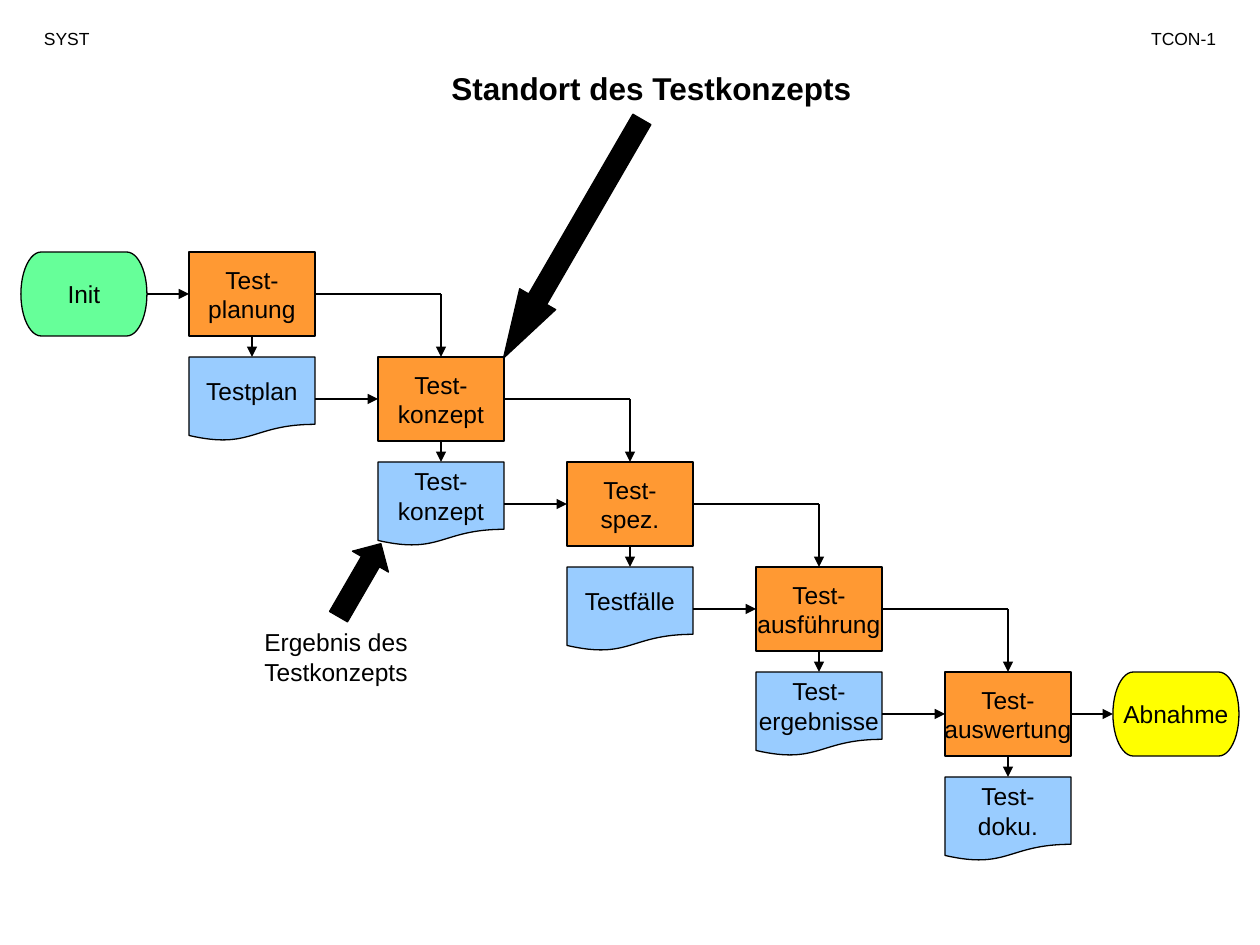
from lxml import etree
from pptx import Presentation
from pptx import util as u
from pptx.dml.color import RGBColor
from pptx.enum import shapes, text
from pptx.oxml import ns

BLACK = RGBColor(0x00, 0x00, 0x00)
ORANGE = RGBColor(0xFF, 0x99, 0x33)
BLUE = RGBColor(0x99, 0xCC, 0xFF)
GREEN = RGBColor(0x66, 0xFF, 0x99)
YELLOW = RGBColor(0xFF, 0xFF, 0x00)

STEPS = [
    ("Test-\nplanung", "Testplan"),
    ("Test-\nkonzept", "Test-\nkonzept"),
    ("Test-\nspez.", "Testfälle"),
    ("Test-\nausführung", "Test-\nergebnisse"),
    ("Test-\nauswertung", "Test-\ndoku."),
]
TOP, LEFT, BOTTOM, RIGHT = range(4)
FIRST_X, FIRST_Y = 1.5, 2
STEP_X, STEP_Y = 1.5, 5 / 6
BOX_WIDTH, BOX_HEIGHT = 1, 2 / 3
END_GAP = 1 / 3


def write(frame, content, size=14, bold=False, align=text.PP_ALIGN.LEFT,
          anchor=text.MSO_ANCHOR.TOP, wrap=True):
    frame.auto_size = text.MSO_AUTO_SIZE.NONE
    frame.word_wrap = wrap
    frame.vertical_anchor = anchor
    frame.text = content
    for para in frame.paragraphs:
        para.alignment = align
        para.space_before = u.Pt(0)
        for span in para.runs:
            span.font.name = "Arial"
            span.font.size = u.Pt(size)
            span.font.bold = bold
            span.font.color.rgb = BLACK


class Painter:
    outline = u.Pt(0.75)
    flow_width = u.Pt(1.5)

    def __init__(self, page):
        self.page = page

    def title(self, content, x, y, width, height):
        box = self.page.shapes.title
        box.left, box.top = u.Inches(x), u.Inches(y)
        box.width, box.height = u.Inches(width), u.Inches(height)
        write(box.text_frame, content, size=18, bold=True, align=text.PP_ALIGN.CENTER)

    def label(self, content, x, y, width, height, **style):
        box = self.page.shapes.add_textbox(*map(u.Inches, (x, y, width, height)))
        write(box.text_frame, content, **style)

    def shape(self, kind, x, y, width, height, fill):
        box = self.page.shapes.add_shape(kind, *map(u.Inches, (x, y, width, height)))
        box.shadow.inherit = False
        box.fill.solid()
        box.fill.fore_color.rgb = fill
        box.line.color.rgb = BLACK
        box.line.width = self.outline
        return box

    def node(self, kind, content, x, y, fill):
        box = self.shape(kind, x, y, BOX_WIDTH, BOX_HEIGHT, fill)
        write(box.text_frame, content, align=text.PP_ALIGN.CENTER,
              anchor=text.MSO_ANCHOR.MIDDLE, wrap=False)
        return box

    def block_arrow(self, x, y, width, height, rotation, head):
        arrow = self.shape(shapes.MSO_SHAPE.UP_ARROW, x, y, width, height, BLACK)
        arrow.rotation = rotation
        arrow.adjustments[1] = head

    def line(self, x1=0, y1=0, x2=0, y2=0, head=True):
        line = self.page.shapes.add_connector(
            shapes.MSO_CONNECTOR.STRAIGHT, *map(u.Inches, (x1, y1, x2, y2)))
        line.line.color.rgb = BLACK
        line.line.width = self.flow_width
        if head:
            stroke = line.line._get_or_add_ln()
            etree.SubElement(stroke, ns.qn("a:tailEnd"), type="triangle")
        etree.SubElement(line._element.spPr, ns.qn("a:effectLst"))
        return line

    def link(self, source, source_side, target, target_side):
        line = self.line()
        line.begin_connect(source, source_side)
        line.end_connect(target, target_side)

    def corner(self, source, target, x1, x2, y1, y2):
        self.line(x1, y1, x2, y1, head=False).begin_connect(source, RIGHT)
        self.line(x2, y1, x2, y2).end_connect(target, TOP)


def main():
    deck = Presentation()
    deck.slide_width, deck.slide_height = u.Inches(10), u.Inches(7.5)
    painter = Painter(deck.slides.add_slide(deck.slide_layouts[5]))
    kinds = shapes.MSO_SHAPE

    painter.title("Standort des Testkonzepts", 2.17, 0.5, 6, 0.4)
    painter.label("SYST", 0.25, 0.17, 0.92, 0.27, size=10)
    painter.label("TCON-1", 8.75, 0.17, 1, 0.27, size=10, align=text.PP_ALIGN.RIGHT)

    tasks, results = [], []
    for index, (task, result) in enumerate(STEPS):
        x, y = FIRST_X + index * STEP_X, FIRST_Y + index * STEP_Y
        tasks.append(painter.node(kinds.RECTANGLE, task, x, y, ORANGE))
        results.append(painter.node(
            kinds.FLOWCHART_DOCUMENT, result, x, y + STEP_Y, BLUE))
        painter.link(tasks[-1], BOTTOM, results[-1], TOP)
        if index:
            painter.link(results[-2], RIGHT, tasks[-1], LEFT)
            painter.corner(tasks[-2], tasks[-1], x - STEP_X + BOX_WIDTH,
                           x + BOX_WIDTH / 2, y - STEP_Y + BOX_HEIGHT / 2, y)

    start = painter.node(kinds.FLOWCHART_TERMINATOR, "Init",
                         FIRST_X - END_GAP - BOX_WIDTH, FIRST_Y, GREEN)
    finish = painter.node(kinds.FLOWCHART_TERMINATOR, "Abnahme",
                          x + BOX_WIDTH + END_GAP, y, YELLOW)
    painter.link(start, RIGHT, tasks[0], LEFT)
    painter.link(tasks[-1], RIGHT, finish, LEFT)

    painter.block_arrow(2.69, 4.27, 0.33, 0.67, 30.1, 0.5)
    painter.block_arrow(4.38, 0.8, 0.33, 2.19, 210.1, 1.64)
    painter.label("Ergebnis des Testkonzepts", 2, 4.93, 1.5, 0.57)

    deck.save("out.pptx")


if __name__ == "__main__":
    main()
